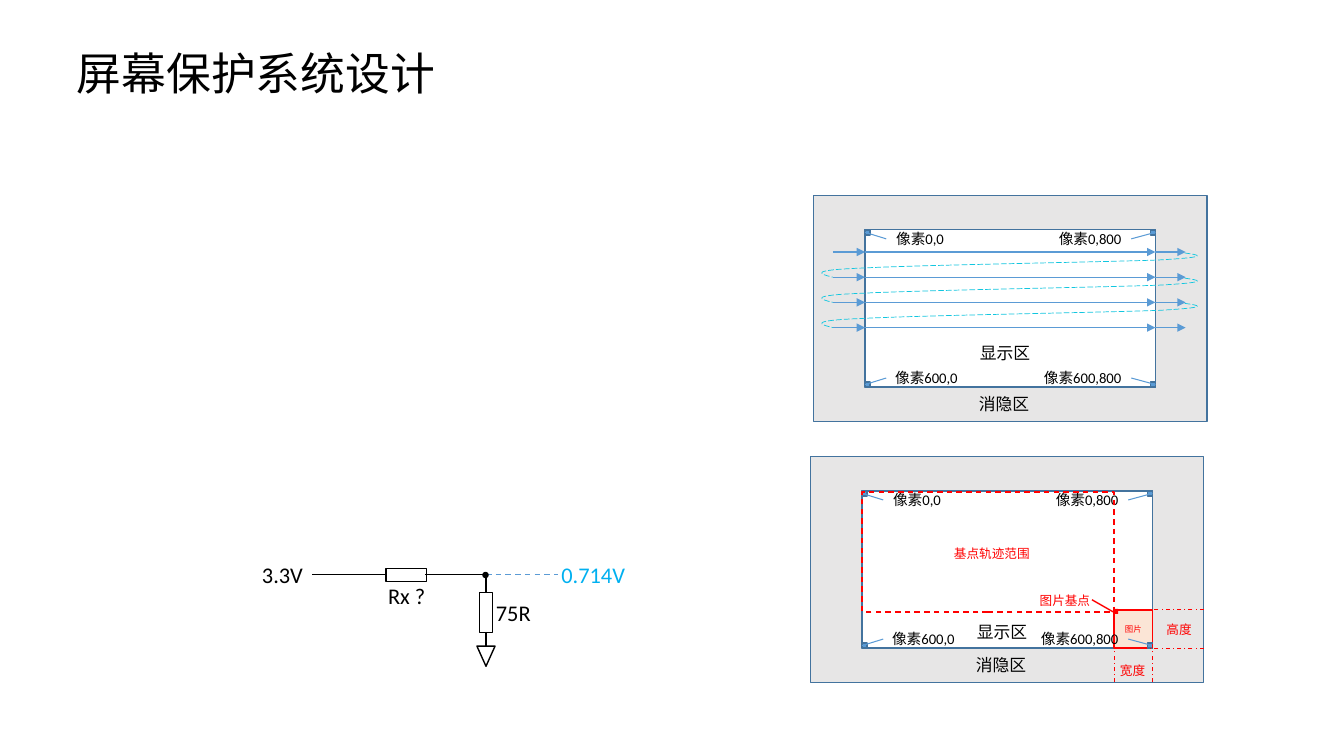
from itertools import pairwise

from pptx import Presentation
from pptx.dml.color import RGBColor
from pptx.enum.dml import MSO_LINE as Dash
from pptx.enum.shapes import MSO_CONNECTOR as Connector, MSO_SHAPE as Preset
from pptx.enum.text import MSO_ANCHOR as Anchor, MSO_AUTO_SIZE as AutoSize, PP_ALIGN as Align
from pptx.oxml.ns import qn
from pptx.oxml.xmlchemy import OxmlElement
from pptx.util import Inches, Pt

BLACK = RGBColor(0x00, 0x00, 0x00)
WHITE = RGBColor(0xFF, 0xFF, 0xFF)
GRAY = RGBColor(0xE7, 0xE6, 0xE6)
PEACH = RGBColor(0xFB, 0xE5, 0xD6)
RED = RGBColor(0xFF, 0x00, 0x00)
BLUE = RGBColor(0x5B, 0x9B, 0xD5)
NAVY = RGBColor(0x43, 0x73, 0x9E)
CYAN = RGBColor(0x11, 0xC6, 0xDF)
SKY = RGBColor(0x00, 0xB0, 0xF0)

COLUMNS, ROWS = 13.33, 7.5
CELL = Inches(1)
FONT = "Calibri"
SCAN_PANEL = (8.07, 1.94)
SAVER_PANEL = (8.04, 4.53)
INSET_X, INSET_Y = 0.51, 0.34
SCREEN_W, SCREEN_H = 2.88, 1.56
MARK = 0.05
RETRACE_LEFT, RETRACE_RIGHT, RETRACE_DROP = 8.15, 11.88, 0.24
RETRACE = ((11.75, 0), (11.89, 0.02), (12.03, 0.04), (11.49, 0.07),
           (10.96, 0.09), (9.09, 0.12), (8.55, 0.15),
           (8.01, 0.17), (8.13, 0.21), (8.26, 0.24))


def grid(*values):
    """Turn grid columns or rows into slide lengths."""
    return [round(value * CELL) for value in values]


def write(shape, text, size=12, color=BLACK, align=Align.LEFT, wrap=False, anchor=Anchor.TOP,
          fit=AutoSize.SHAPE_TO_FIT_TEXT):
    """Put one formatted paragraph in a shape."""
    frame = shape.text_frame
    frame.word_wrap = wrap
    frame.auto_size = fit
    frame.vertical_anchor = anchor
    paragraph = frame.paragraphs[0]
    paragraph.alignment = align
    run = paragraph.add_run()
    run.text = text
    run.font.name = FONT
    run.font.size = Pt(size)
    run.font.color.rgb = color


def add_label(slide, text, left, top, width, height, **style):
    """Add a text box."""
    write(slide.shapes.add_textbox(*grid(left, top, width, height)), text, **style)


def paint(shape, fill=None, line=None, weight=1, dash=None):
    """Set fill and outline and drop the shadow."""
    shape.shadow.inherit = False
    if fill is None:
        shape.fill.background()
    else:
        shape.fill.solid()
        shape.fill.fore_color.rgb = fill
    if line is None:
        shape.line.fill.background()
    else:
        shape.line.color.rgb = line
        shape.line.width = Pt(weight)
        shape.line.dash_style = dash


def add_box(slide, left, top, width, height, preset=Preset.RECTANGLE, **style):
    """Add a preset shape."""
    shape = slide.shapes.add_shape(preset, *grid(left, top, width, height))
    paint(shape, **style)
    return shape


def add_line(slide, start, end, color=BLUE, weight=1, dash=None, arrow=False, elbow=False):
    """Add a straight or single-corner connector."""
    kind = Connector.ELBOW if elbow else Connector.STRAIGHT
    connector = slide.shapes.add_connector(kind, *grid(*start, *end))
    connector.line.color.rgb = color
    connector.line.width = Pt(weight)
    connector.line.dash_style = dash
    properties = connector._element.spPr
    if elbow:
        properties.find(qn("a:prstGeom")).set("prst", "bentConnector2")
    if arrow:
        head = OxmlElement("a:tailEnd")
        head.set("type", "triangle")
        properties.find(qn("a:ln")).append(head)
    properties.append(OxmlElement("a:effectLst"))


def add_step(outline, tag, points):
    """Append one drawing step to a freeform outline."""
    step = OxmlElement(tag)
    for x, y in points:
        point = OxmlElement("a:pt")
        across, down = grid(x - RETRACE_LEFT, y)
        point.set("x", str(across))
        point.set("y", str(down))
        step.append(point)
    outline.append(step)


def add_retrace(slide, top):
    """Draw the dashed return sweep below one scan line."""
    builder = slide.shapes.build_freeform(*grid(RETRACE_LEFT, top), scale=1.0)
    builder.add_line_segments([grid(RETRACE_RIGHT, top + RETRACE_DROP)], close=False)
    shape = builder.convert_to_shape()
    outline = next(shape._element.iter(qn("a:path")))
    for step in list(outline):
        outline.remove(step)
    add_step(outline, "a:moveTo", RETRACE[:1])
    for first in (1, 4, 7):
        add_step(outline, "a:cubicBezTo", RETRACE[first:first + 3])
    paint(shape, line=CYAN, weight=0.5, dash=Dash.LONG_DASH)


def add_areas(slide, left, top):
    """Draw the blanking area and the display area."""
    add_box(slide, left, top, 3.9, 2.24, fill=GRAY, line=NAVY)
    add_box(slide, left + INSET_X, top + INSET_Y, SCREEN_W, SCREEN_H, fill=WHITE, line=NAVY)


def add_corners(slide, left, top, display_row):
    """Label the pixels at the corners and both areas."""
    for text, x, y, width, align in (
            ("像素0,0", 0.72, 0.29, 0.69, Align.LEFT),
            ("像素0,800", 2.31, 0.29, 0.84, Align.RIGHT),
            ("像素600,0", 0.71, 1.67, 0.85, Align.LEFT),
            ("像素600,800", 2.14, 1.67, 1.01, Align.RIGHT)):
        add_label(slide, text, left + x, top + y, width, 0.28, size=10.5, align=align, wrap=True)
    near, far = left + INSET_X, left + INSET_X + SCREEN_W
    high, low = top + INSET_Y, top + INSET_Y + SCREEN_H
    for mark_x, edge, label_x in ((near, near, left + 0.72), (far - MARK, far, left + 3.15)):
        for mark_y, label_y in ((high, top + 0.43), (low - MARK, top + 1.81)):
            add_box(slide, mark_x, mark_y, MARK, MARK, fill=BLUE, line=NAVY)
            add_line(slide, (label_x, label_y), (edge, mark_y + MARK / 2), weight=0.75)
    add_label(slide, "显示区", left + 1.55, top + display_row, 0.71, 0.3)
    add_label(slide, "消隐区", left + 1.54, top + 1.92, 0.71, 0.3)


def add_scan_panel(slide):
    """Draw the raster scan of the screen."""
    add_areas(slide, *SCAN_PANEL)
    rows = [2.5 + 0.25 * index for index in range(4)]
    for row in rows:
        for start, end in pairwise((8.26, 8.58, 11.46, 11.76)):
            add_line(slide, (start, row), (end, row), arrow=True)
    for row in rows[:-1]:
        add_retrace(slide, row + 0.01)
    add_corners(slide, *SCAN_PANEL, display_row=1.41)


def add_saver_panel(slide):
    """Draw the moving picture and the range of its base point."""
    add_areas(slide, *SAVER_PANEL)
    tile = add_box(slide, 11.05, 6.05, 0.38, 0.38, fill=PEACH, line=RED)
    write(tile, "图片", size=6, color=RED, align=Align.CENTER, wrap=True,
          anchor=Anchor.MIDDLE, fit=AutoSize.NONE)
    add_corners(slide, *SAVER_PANEL, display_row=1.59)
    add_box(slide, 8.55, 4.88, 2.5, 1.19, line=RED, dash=Dash.DASH)
    add_box(slide, 11.04, 6.04, MARK, MARK, fill=RED)
    add_line(slide, (11.04, 6.07), (10.83, 5.95), RED)
    for x in (11.05, 11.43):
        add_line(slide, (x, 6.77), (x, 6.3), RED, 0.75, Dash.DASH_DOT)
    for y in (6.05, 6.43):
        add_line(slide, (11.94, y), (11.34, y), RED, 0.75, Dash.DASH_DOT)
    for text, x, y, width, align, wrap in (
            ("图片基点", 10.21, 5.83, 0.7, Align.RIGHT, True),
            ("宽度", 11.01, 6.53, 0.45, Align.LEFT, False),
            ("高度", 11.47, 6.12, 0.45, Align.LEFT, False),
            ("基点轨迹范围", 9.35, 5.37, 0.96, Align.RIGHT, True)):
        add_label(slide, text, x, y, width, 0.25, size=9, color=RED, align=align, wrap=wrap)


def add_divider(slide):
    """Draw the resistor divider."""
    add_box(slide, 3.83, 5.64, 0.4, 0.13, line=BLACK)
    add_box(slide, 4.62, 6.01, 0.4, 0.13, line=BLACK).rotation = 270
    add_box(slide, 4.73, 6.41, 0.18, 0.2, Preset.ISOSCELES_TRIANGLE, line=BLACK).rotation = 180
    add_line(slide, (3.83, 5.7), (3.09, 5.7), BLACK)
    add_line(slide, (4.22, 5.7), (4.82, 5.88), BLACK, elbow=True)
    add_line(slide, (4.82, 6.27), (4.82, 6.41), BLACK)
    add_line(slide, (4.82, 5.7), (5.53, 5.7), dash=Dash.DASH)
    for text, x, y, width, color in (
            ("75R", 4.82, 5.89, 0.55, BLACK), ("Rx ?", 3.75, 5.73, 0.58, BLACK),
            ("3.3V", 2.5, 5.52, 0.61, BLACK), ("0.714V", 5.47, 5.52, 0.84, SKY)):
        add_label(slide, text, x, y, width, 0.37, size=16, color=color)
    add_box(slide, 4.79, 5.68, MARK, MARK, Preset.OVAL, fill=BLACK, line=BLACK)


def add_title(slide, text):
    """Place and fill the title placeholder."""
    title = slide.shapes.title
    title.left, title.top, title.width, title.height = grid(0.66, 0.4, 3.79, 0.64)
    write(title, text, size=32)


def main():
    """Build and save the slide."""
    presentation = Presentation()
    presentation.slide_width, presentation.slide_height = grid(COLUMNS, ROWS)
    slide = presentation.slides.add_slide(presentation.slide_layouts[5])
    add_saver_panel(slide)
    add_scan_panel(slide)
    add_divider(slide)
    add_title(slide, "屏幕保护系统设计")
    presentation.save("out.pptx")


if __name__ == "__main__":
    main()
